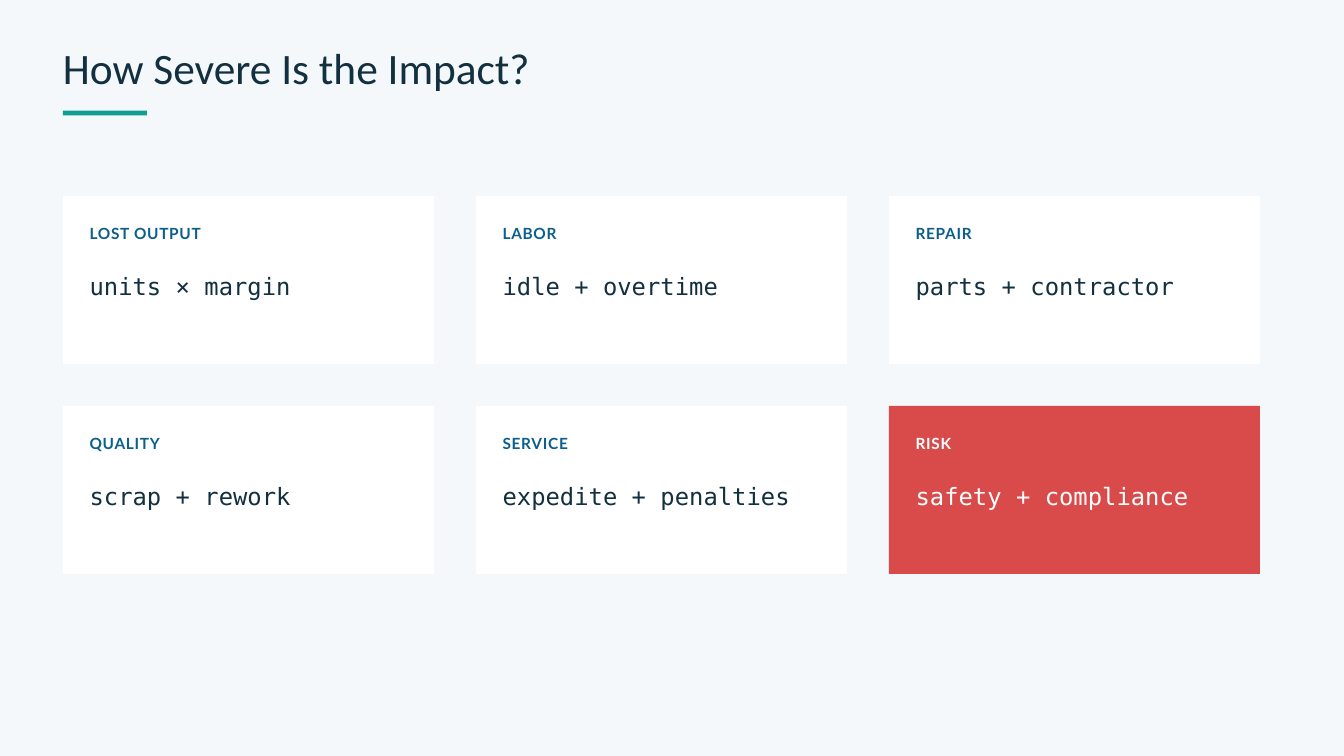
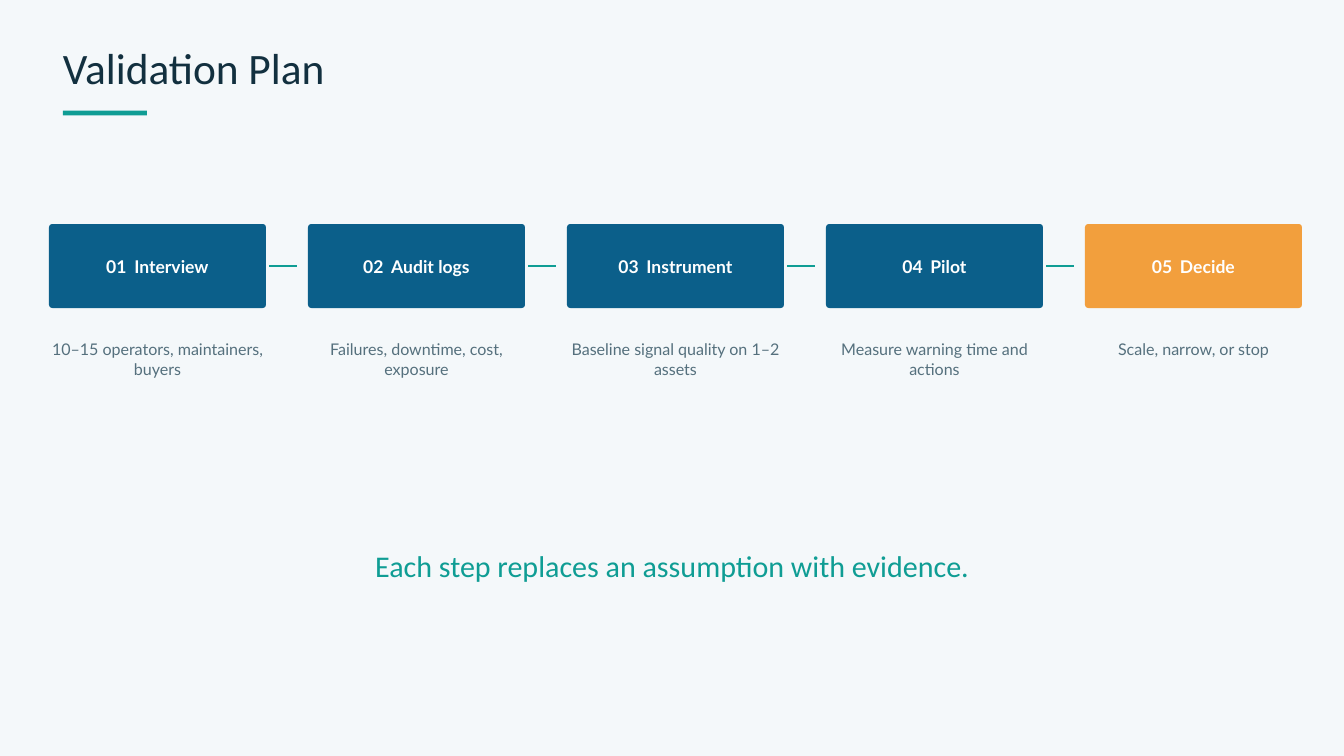
from lxml import etree
from pptx import Presentation
from pptx.dml.color import RGBColor
from pptx.enum.shapes import MSO_CONNECTOR, MSO_SHAPE
from pptx.enum.text import MSO_ANCHOR, MSO_AUTO_SIZE, PP_ALIGN
from pptx.oxml.ns import qn
from pptx.util import Inches, Pt

RECT, ROUNDED = MSO_SHAPE.RECTANGLE, MSO_SHAPE.ROUNDED_RECTANGLE
STRAIGHT = MSO_CONNECTOR.STRAIGHT
LEFT, CENTER = PP_ALIGN.LEFT, PP_ALIGN.CENTER
TOP, MIDDLE = MSO_ANCHOR.TOP, MSO_ANCHOR.MIDDLE
NO_AUTOFIT = MSO_AUTO_SIZE.NONE

INK, BLUE, TEAL, GRAY = "12303F", "0B5F8A", "0F9D94", "55707D"
RED, ORANGE, WHITE, PAPER = "D94B4B", "F29F3D", "FFFFFF", "F4F8FA"
HEAD, BODY, MONO = "Calibri", "Lato", "DejaVu Sans Mono"
rgb = RGBColor.from_string


def add_box(s, kind, color, left, top, width, height):
    """Add a filled shape, or a text box if kind is None; lengths in grid units."""
    place = [int(n * U) for n in (left, top, width, height)]
    if kind is None:
        sp = s.shapes.add_textbox(*place)
    else:
        sp = s.shapes.add_shape(kind, *place)
        sp.shadow.inherit = False
        sp.fill.solid()
        sp.fill.fore_color.rgb = rgb(color)
        sp.line.fill.background()
    return sp


def write(sp, parts, font, size, leading, color, align=LEFT, anchor=TOP,
          inset=0, bold=False, spacing=0):
    """Fill a shape with one paragraph made of the given runs."""
    tf = sp.text_frame
    tf.word_wrap = True
    tf.auto_size = NO_AUTOFIT
    tf.vertical_anchor = anchor
    tf.margin_left = tf.margin_right = tf.margin_top = tf.margin_bottom = Inches(inset)
    p = tf.paragraphs[0]
    p.text = parts[0]
    for part in parts[1:]:
        p.add_run().text = part
    p.alignment = align
    p.line_spacing = Pt(leading)
    for r in p.runs:
        r.font.name = font
        r.font.size = Pt(size)
        r.font.bold = bold
        r.font.color.rgb = rgb(color)
        if spacing:
            r.font._element.set("spc", str(spacing))
    return p


prs = Presentation()
prs.slide_width, prs.slide_height = Inches(20), Inches(11.25)
U = prs.slide_width / 96  # square grid: 96 columns by 54 rows
MARGIN = 4.5

# Shared background, title and accent bar
fill = prs.slide_master.background.fill
fill.solid()
fill.fore_color.rgb = rgb(PAPER)
slides = []
for title in ("How Severe Is the Impact?", "Validation Plan"):
    s = prs.slides.add_slide(prs.slide_layouts[5])
    sp = s.shapes.title
    sp.left, sp.top, sp.width, sp.height = [int(n * U) for n in (MARGIN, 3.4, 87, 3.4)]
    write(sp, [title], HEAD, 46.5, 48.8, INK)
    add_box(s, RECT, TEAL, MARGIN, 7.9, 6, 0.35)
    slides.append(s)
impact, plan = slides

# Slide 1: cost cards, three columns by two rows
costs = [
    ("LOST OUTPUT", "units × margin"),
    ("LABOR", "idle + overtime"),
    ("REPAIR", "parts + contractor"),
    ("QUALITY", "scrap + rework"),
    ("SERVICE", "expedite + penalties"),
    ("RISK", "safety + compliance"),
]
CARD_W, CARD_H, GAP = 26.5, 12, 3
for i, (label, formula) in enumerate(costs):
    row, col = divmod(i, 3)
    x = MARGIN + col * (CARD_W + GAP)
    y = 14 + row * (CARD_H + GAP)
    is_risk = label == "RISK"
    add_box(impact, RECT, RED if is_risk else WHITE, x, y, CARD_W, CARD_H)
    write(add_box(impact, None, None, x + 1.9, y + 1.8, 22.5, 1.5), [label],
          BODY, 16.5, 23.1, WHITE if is_risk else BLUE, bold=True, spacing=80)
    write(add_box(impact, None, None, x + 1.9, y + 5.05, 22.5, 2.2), [formula],
          MONO, 25.5, 35.7, WHITE if is_risk else INK)

# Slide 2: five steps with dashes between them
steps = [
    ("Interview", "10–15 operators, maintainers, buyers"),
    ("Audit logs", "Failures, downtime, cost, exposure"),
    ("Instrument", "Baseline signal quality on 1–2 assets"),
    ("Pilot", "Measure warning time and actions"),
    ("Decide", "Scale, narrow, or stop"),
]
STEP_W, STEP_H, STEP_Y = 15.5, 6, 16
for i, (name, detail) in enumerate(steps):
    x = 3.5 + i * (STEP_W + GAP)
    last = i == len(steps) - 1
    sp = add_box(plan, ROUNDED, ORANGE if last else BLUE, x, STEP_Y, STEP_W, STEP_H)
    sp.adjustments[0] = 0.04
    p = write(sp, [f"{i + 1:02}", " ", name], BODY, 18.8, 26.2, WHITE,
              CENTER, MIDDLE, inset=0.06, bold=True)
    p.runs[1].font._element.set("spc", "360")  # wider gap after the number
    sp.text_frame.margin_bottom = Inches(0.09)
    write(add_box(plan, None, None, x, 24.2, STEP_W, 2.8), [detail],
          BODY, 17.2, 21.6, GRAY, CENTER)
    if not last:
        start, y = x + STEP_W + 0.25, int((STEP_Y + STEP_H / 2) * U)
        dash = plan.shapes.add_connector(STRAIGHT, int(start * U), y, int((start + 2) * U), y)
        dash.line.color.rgb = rgb(TEAL)
        dash.line.width = Pt(3)
        etree.SubElement(dash._element.spPr, qn("a:effectLst"))

# Closing statement
write(add_box(plan, None, None, 17.5, 38.65, 61, 2.9),
      ["Each step replaces an assumption with evidence."],
      HEAD, 32.2, 45.1, TEAL, CENTER)

prs.save("out.pptx")
